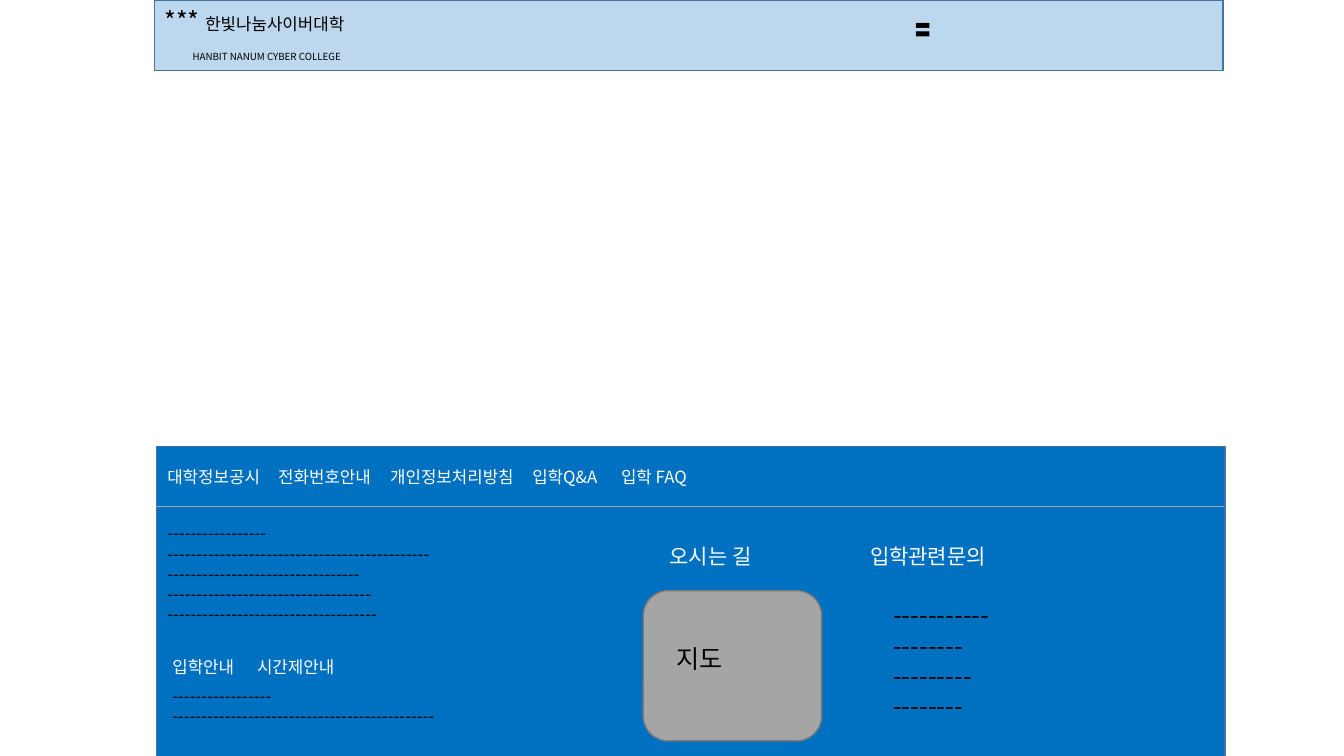
from pptx import Presentation
from pptx.dml.color import RGBColor
from pptx.enum.shapes import MSO_CONNECTOR as Connector, MSO_SHAPE as Shape
from pptx.enum.text import MSO_ANCHOR as Anchor
from pptx.oxml.ns import qn
from pptx.util import Inches, Pt

# Content
FONT = "Noto Sans CJK KR"
BLACK, WHITE = "000000", "FFFFFF"
LINE_RATIO = 1.2

# shape, left, top, width, height, fill, outline
panels = [
    (Shape.RECTANGLE, 1.53, 0, 10.6, 0.7, "BDD7EE", "43739E"),
    (Shape.RECTANGLE, 1.55, 4.43, 10.6, 3.08, "0070C0", "43739E"),
    (Shape.ROUNDED_RECTANGLE, 6.38, 5.86, 1.77, 1.49, "A5A5A5", "7A7A7A"),
]
divider = (1.55, 12.14, 5.02, "A5A5A5")

college = [("*** ", 18), ("한빛나눔사이버대학", 12)]

# rows of labels: vertical centre, size, colour, [(left, text), ...]
label_rows = [
    (0.56, 7, BLACK, [(1.91, "HANBIT NANUM CYBER COLLEGE")]),
    (0.3, 12, BLACK, [(9.07, "〓")]),
    (4.73, 12, WHITE, [(1.66, "대학정보공시"), (2.76, "전화번호안내"),
                       (3.87, "개인정보처리방침"), (5.28, "입학Q&A"),
                       (6.16, "입학 FAQ")]),
    (5.52, 15, WHITE, [(6.64, "오시는 길"), (8.63, "입학관련문의")]),
    (6.62, 12, WHITE, [(1.71, "입학안내"), (2.55, "시간제안내")]),
    (6.53, 18, BLACK, [(6.71, "지도")]),
]

# left, top, size, dashes in each line
dash_blocks = [
    (1.66, 5.19, 12, [17, 45, 33, 35, 36]),
    (1.71, 6.8, 12, [17, 45]),
    (8.86, 5.95, 18, [11, 8, 9, 8]),
]

prs = Presentation()
prs.slide_width, prs.slide_height = Inches(13.33), Inches(7.5)
slide = prs.slides.add_slide(prs.slide_layouts[6])


def rgb(color):
    return RGBColor.from_string(color)


def style_run(run, size, color):
    run.font.size = Pt(size)
    run.font.name = FONT
    run.font.color.rgb = rgb(color)
    east_asian = run.font._element.makeelement(qn("a:ea"), {"typeface": FONT})
    run.font._element.find(qn("a:latin")).addnext(east_asian)


def add_text(lines, left, top, size, color, width=3.5):
    """Each line is a list of (text, size) runs."""
    height = len(lines) * size * LINE_RATIO / 72
    frame = slide.shapes.add_textbox(
        Inches(left), Inches(top), Inches(width), Inches(height)).text_frame
    frame.word_wrap = True
    frame.vertical_anchor = Anchor.TOP
    frame.margin_left = frame.margin_right = 0
    frame.margin_top = frame.margin_bottom = 0
    for number, line in enumerate(lines):
        paragraph = frame.add_paragraph() if number else frame.paragraphs[0]
        paragraph.line_spacing = Pt(size * LINE_RATIO)
        for text, run_size in line:
            run = paragraph.add_run()
            run.text = text
            style_run(run, run_size, color)


# Header, footer and map panels
for kind, left, top, width, height, fill, outline in panels:
    panel = slide.shapes.add_shape(
        kind, Inches(left), Inches(top), Inches(width), Inches(height))
    panel.shadow.inherit = False
    panel.fill.solid()
    panel.fill.fore_color.rgb = rgb(fill)
    panel.line.color.rgb = rgb(outline)
    panel.line.width = Pt(1)

# Footer divider
start, end, level, color = divider
rule = slide.shapes.add_connector(
    Connector.STRAIGHT, Inches(start), Inches(level), Inches(end), Inches(level))
rule.line.color.rgb = rgb(color)
rule.line.width = Pt(0.5)
properties = rule._element.spPr
properties.append(properties.makeelement(qn("a:effectLst"), {}))

# College name, labels and dashed lines
add_text([college], 1.63, 0.05, 18, BLACK)
for centre, size, color, labels in label_rows:
    for left, text in labels:
        add_text([[(text, size)]], left, centre - size * LINE_RATIO / 144,
                 size, color, width=2)
for left, top, size, counts in dash_blocks:
    add_text([[("-" * count, size)] for count in counts], left, top, size, BLACK)

prs.save("out.pptx")
